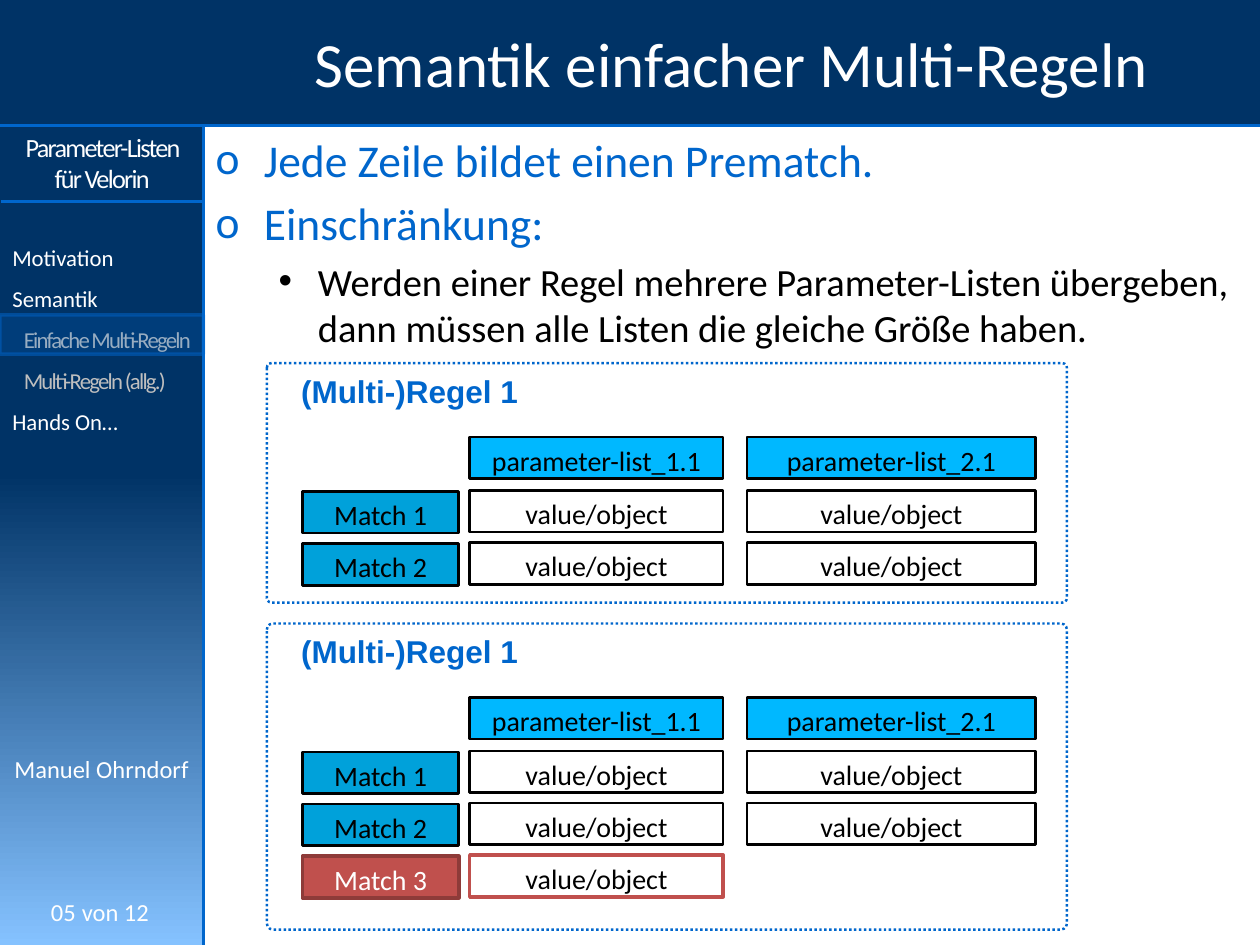
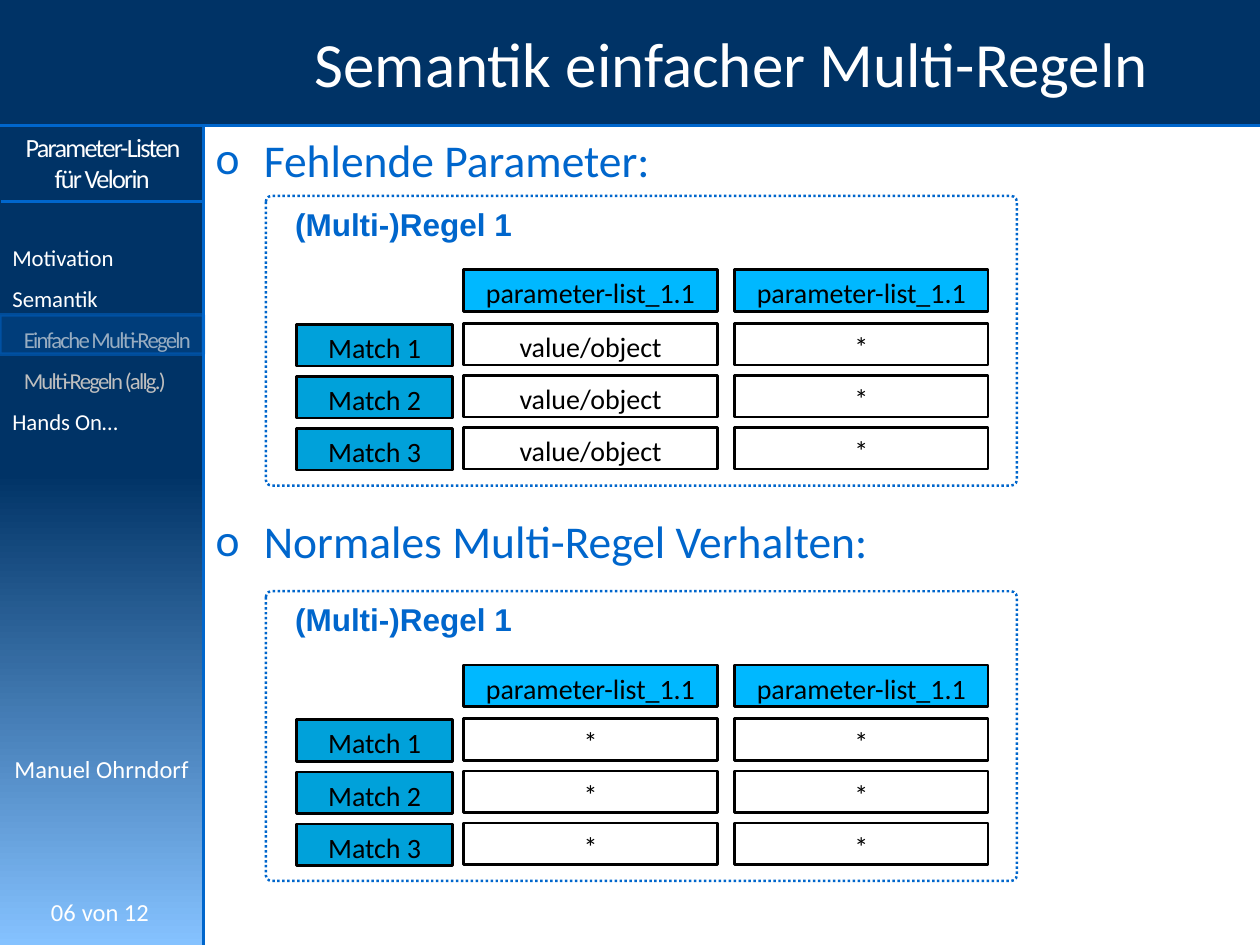
from lxml import etree
from pptx import Presentation
from pptx.dml.color import RGBColor
from pptx.enum.dml import MSO_LINE
from pptx.enum.shapes import MSO_CONNECTOR, MSO_SHAPE
from pptx.enum.text import MSO_ANCHOR, MSO_AUTO_SIZE, PP_ALIGN
from pptx.oxml.ns import qn
from pptx.util import Cm, Pt

RECT, ROUND = MSO_SHAPE.RECTANGLE, MSO_SHAPE.ROUNDED_RECTANGLE
MID, RIGHT = PP_ALIGN.CENTER, PP_ALIGN.RIGHT
TOP, CENTER = MSO_ANCHOR.TOP, MSO_ANCHOR.MIDDLE
DOTS, STRAIGHT, FIXED = MSO_LINE.ROUND_DOT, MSO_CONNECTOR.STRAIGHT, MSO_AUTO_SIZE.NONE

NAVY, BLUE, SKY = "003366", "0066CC", "85C2FF"
HEAD, KEY = "00B8FF", "00A1DA"
RED, DARK = "C0504D", "8E3B39"
WHITE, BLACK, GREY = "FFFFFF", "000000", "BFBFBF"

WIDE, HIGH = 25.4, 19.05
SIDE, BAND = 4.1, 2.53      # sidebar width, title band height
CELL, STEP = 0.84, 1.05     # cell height, row pitch
VALUE = "value/object"


def color(code):
    return RGBColor.from_string(code)


def put(obj, **vals):
    for name, val in vals.items():
        setattr(obj, name, val)


def place(box):
    return [Cm(v) for v in box]


def style(par, size, ink, font="Calibri", bold=False, track=0, **form):
    """Format a paragraph and its text."""
    put(par, **form)
    for run in par.runs:
        put(run.font, size=Pt(size), name=font, bold=bold)
        run.font.color.rgb = color(ink)
        if track:
            run.font._element.set("spc", str(track * 100))


def indent(par, margin, hang, mark=None, font="Calibri"):
    """Set a hanging indent and, if given, a bullet."""
    props = par._p.get_or_add_pPr()
    props.set("marL", str(Cm(margin)))
    props.set("indent", str(-Cm(hang)))
    if mark:
        etree.SubElement(props, qn("a:buFont")).set("typeface", font)
        etree.SubElement(props, qn("a:buChar")).set("char", mark)


def write(slide, box, *texts):
    """Add a text box with one paragraph for each (text, format) pair."""
    frame = slide.shapes.add_textbox(*place(box)).text_frame
    put(frame, word_wrap=True, auto_size=FIXED, vertical_anchor=TOP)
    for num, (text, form) in enumerate(texts):
        par = frame.add_paragraph() if num else frame.paragraphs[0]
        par.text = text
        style(par, **form)
    return frame


def shape(slide, box, fill=None, edge=None, width=1.5, kind=RECT):
    item = slide.shapes.add_shape(kind, *place(box))
    item.shadow.inherit = False
    if fill:
        item.fill.solid()
        item.fill.fore_color.rgb = color(fill)
    else:
        item.fill.background()
    if edge:
        item.line.color.rgb = color(edge)
        item.line.width = Pt(width)
    else:
        item.line.fill.background()
    return item


def rule(slide, *ends):
    line = slide.shapes.add_connector(STRAIGHT, *place(ends))
    line.line.color.rgb = color(BLUE)
    line.line.width = Pt(1.5)
    etree.SubElement(line.element.spPr, qn("a:effectLst"))


def sidebar(slide, page):
    # Gradient column
    back = shape(slide, (0, 0, SIDE, HIGH))
    back.fill.gradient()
    back.fill.gradient_angle = 270
    for stop, (pos, code) in zip(back.fill.gradient_stops, ((0.5, NAVY), (1, SKY))):
        stop.color.rgb = color(code)
        stop.position = pos
    # Talk, speaker and page
    small = dict(size=14, ink=WHITE)
    write(slide, (0.01, 2.52, SIDE, 1.55),
          ("Parameter-Listen für Velorin",
           dict(size=15, ink=WHITE, track=-1, alignment=MID)))
    write(slide, (0, 15.07, SIDE, 0.86),
          ("Manuel Ohrndorf", dict(small, alignment=MID)))
    write(slide, (1.4, 17.96, 2.1, 0.86), ("von 12", small))
    write(slide, (0.71, 17.96, 1.07, 0.86), (page, dict(small, alignment=RIGHT)))
    # Outline
    main = dict(size=13, ink=WHITE, line_spacing=1.5)
    sub = dict(main, ink=GREY, track=-1, level=1)
    nav = write(slide, (0, 4.52, SIDE, 4.42),
                ("Motivation", main), ("Semantik", main),
                ("Einfache Multi-Regeln", sub), ("Multi-Regeln (allg.)", sub),
                ("Hands On…", main))
    for par in nav.paragraphs[2:4]:
        indent(par, 0.48, 0.25)


def header(slide, text):
    shape(slide, (0, 0, WIDE, BAND), NAVY)
    title = slide.shapes.title
    title.element.getparent().append(title.element)     # above the band
    put(title, **dict(zip(("left", "top", "width", "height"),
                          place((5.64, 0, 18.21, BAND)))))
    frame = title.text_frame
    frame.text = text
    put(frame, word_wrap=True, auto_size=FIXED, vertical_anchor=CENTER)
    style(frame.paragraphs[0], 36, WHITE, alignment=MID)


def marker(slide, box):
    """Highlight the current outline entry with a translucent bar."""
    bar = shape(slide, box, BLUE, BLUE, 2)
    for tint, part in zip(bar.element.spPr.iter(qn("a:srgbClr")), (20, 50)):
        etree.SubElement(tint, qn("a:alpha")).set("val", str(part * 1000))


def base(deck, page):
    """Add a slide with everything the slides share."""
    slide = deck.slides.add_slide(deck.slide_layouts[5])
    sidebar(slide, page)
    header(slide, "Semantik einfacher Multi-Regeln")
    rule(slide, 0, BAND, WIDE, BAND)
    rule(slide, 0.03, 4.06, SIDE, 4.06)
    rule(slide, SIDE, BAND, SIDE, HIGH)
    marker(slide, (0, 6.35, SIDE, 0.79))
    return slide


def body(slide, *items):
    """Write bullets from (level, text, space before) items."""
    looks = (dict(size=26, ink=BLUE), dict(size=22, ink=BLACK))
    marks = ((0.97, 0.97, "o"), (2.06, 0.79, "•", "Arial"))
    frame = write(slide, (SIDE, BAND, WIDE - SIDE, HIGH - BAND),
                  *((text, dict(looks[level], level=level, space_before=Pt(gap)))
                    for level, text, gap in items))
    for par, (level, *_) in zip(frame.paragraphs, items):
        indent(par, *marks[level])


def cell(slide, box, text, fill=None, edge=BLACK, ink=BLACK, width=1.5):
    frame = shape(slide, box, fill, edge, width).text_frame
    put(frame, word_wrap=True, vertical_anchor=TOP)
    frame.text = text
    style(frame.paragraphs[0], 16, ink, alignment=MID)


def card(slide, box, heads, rows, inset, gap, last):
    """Draw a dotted rule card: column heads, then one row for each match.

    A row with fewer values than heads is marked as an error.
    """
    left, top, wide, _ = box
    first = left + inset
    mid = first + 3.37
    cols = ((mid, 5.11), (mid + 5.11 + gap, last))
    # Column heads
    for (x, w), text in zip(cols, heads):
        cell(slide, (x, top + 1.49, w, CELL), text, HEAD)
    # Matches and their values
    for num, row in enumerate(rows):
        y = top + 2.57 + num * STEP
        bad = len(row) < len(heads)
        key = dict(fill=RED, edge=DARK, ink=WHITE, width=2) if bad else dict(fill=KEY)
        val = dict(fill=WHITE, edge=RED, width=2) if bad else {}
        cell(slide, (first, y + 0.02, 3.15, CELL), f"Match {num + 1}", **key)
        for (x, w), text in zip(cols, row):
            cell(slide, (x, y, w, CELL), text, **val)
    # Frame and caption
    edge = shape(slide, box, None, BLUE, 1.42, ROUND)
    edge.adjustments[0] = 0.02
    edge.line.dash_style = DOTS
    label = write(slide, (first - 0.28, top, 5.94, 0.81),
                  ("(Multi-)Regel 1", dict(size=18, ink=BLUE, font="Arial", bold=True)))
    label.margin_top = Cm(0.18)


def limits(deck):
    slide = base(deck, "05")
    body(slide, (0, "Jede Zeile bildet einen Prematch.", 5.2),
         (0, "Einschränkung:", 5.2),
         (1, "Werden einer Regel mehrere Parameter-Listen übergeben, "
             "dann müssen alle Listen die gleiche Größe haben.", 4.4))
    heads = ("parameter-list_1.1", "parameter-list_2.1")
    full = [(VALUE, VALUE)] * 2
    for top, high, rows in ((7.32, 4.83, full), (12.57, 6.17, full + [(VALUE,)])):
        card(slide, (5.38, top, 16.13, high), heads, rows, 0.72, 0.48, 5.82)


def missing(deck):
    slide = base(deck, "06")
    body(slide, (0, "Fehlende Parameter:", 5.2),
         (0, "Normales Multi-Regel Verhalten:", 187))
    heads = ("parameter-list_1.1",) * 2
    for top, text in ((3.95, VALUE), (11.92, "*")):
        card(slide, (5.36, top, 15.14, 5.84), heads, [(text, "*")] * 3, 0.62, 0.35, 5.11)


deck = Presentation()
put(deck, slide_width=Cm(WIDE), slide_height=Cm(HIGH))
limits(deck)
missing(deck)
deck.save("out.pptx")
